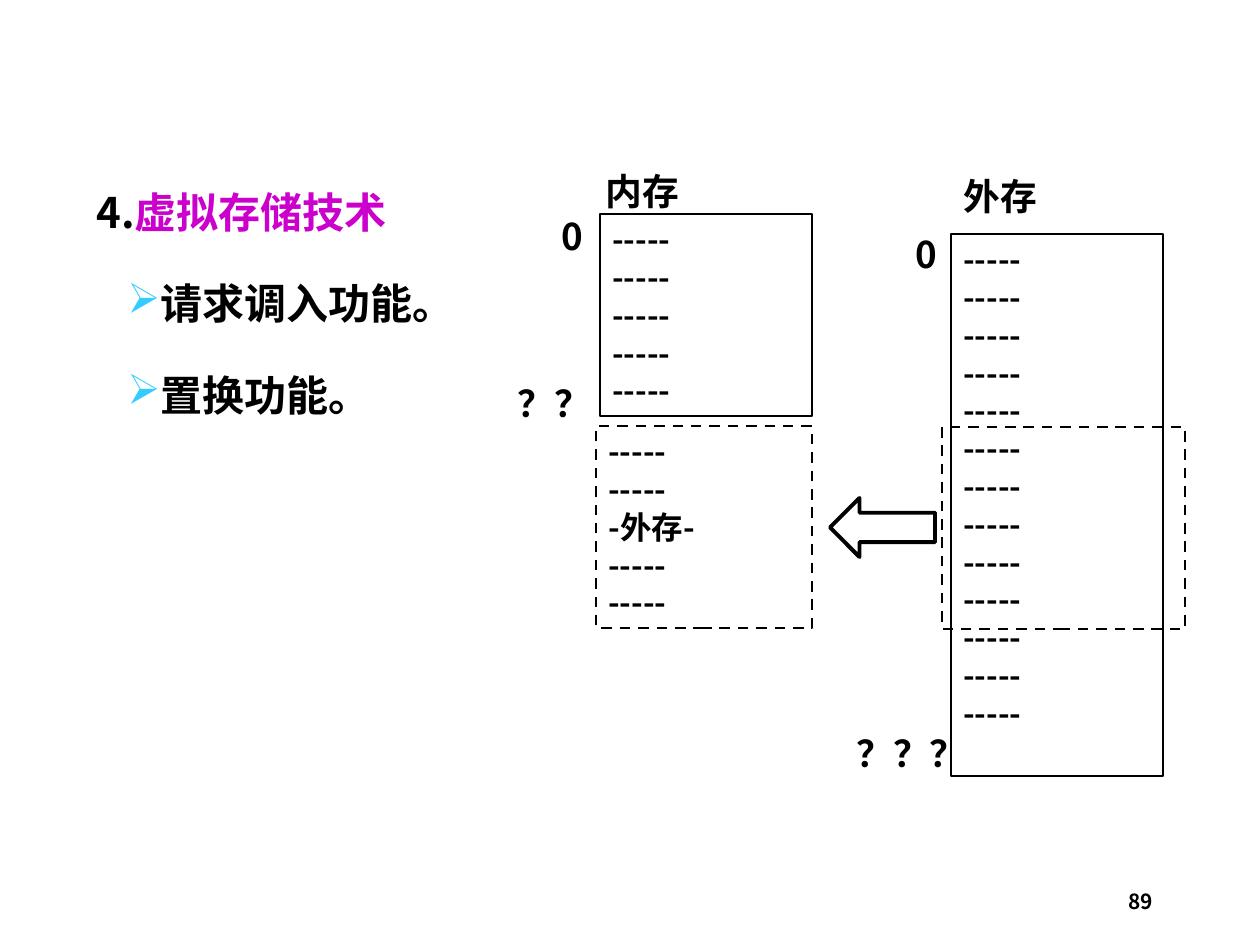
from lxml.etree import SubElement
from pptx import Presentation
from pptx.dml.color import RGBColor
from pptx.enum.dml import MSO_LINE
from pptx.enum.shapes import MSO_SHAPE
from pptx.enum.text import MSO_ANCHOR, PP_ALIGN
from pptx.oxml.ns import qn
from pptx.util import Emu, Pt

FONT = "Noto Sans CJK SC"
BLACK = RGBColor(0x00, 0x00, 0x00)
MAGENTA = RGBColor(0xCC, 0x00, 0xCC)
BULLET_BLUE = RGBColor(0x33, 0xCC, 0xFF)
PX = 914400 / 126
DASHES = "-----"


def box(x, y, w, h, preset=None, dash=None, weight=1.5):
    """Add a text box, or an unfilled outlined shape if a preset is given."""
    place = [Emu(round(v * PX)) for v in (x, y, w, h)]
    if preset is None:
        sp = s.shapes.add_textbox(*place)
    else:
        sp = s.shapes.add_shape(preset, *place)
        sp.shadow.inherit = False
        sp.fill.background()
        sp.line.color.rgb = BLACK
        sp.line.width = Pt(weight)
        sp.line.dash_style = dash
    sp.text_frame.word_wrap = True
    sp.text_frame.vertical_anchor = MSO_ANCHOR.TOP
    return sp.text_frame


def write(tf, lines, size, align=PP_ALIGN.LEFT):
    """Fill a frame; each line is a list of (text, colour) runs."""
    for i, runs in enumerate(lines):
        p = tf.add_paragraph() if i else tf.paragraphs[0]
        p.alignment = align
        for text, color in runs:
            r = p.add_run()
            r.text = text
            r.font.size = Pt(size)
            r.font.bold = True
            r.font.name = FONT
            r.font.color.rgb = color
            SubElement(r.font._element, qn("a:ea"), typeface=FONT)


prs = Presentation()
prs.slide_width = Emu(round(1260 * PX))
prs.slide_height = Emu(round(945 * PX))
s = prs.slides.add_slide(prs.slide_layouts[6])

# Page number
write(box(903, 882, 262, 42), [[("89", BLACK)]], 11.9, PP_ALIGN.RIGHT)

# Topic and its two functions
tf = box(84, 165, 1113, 262)
topic = [("4.", BLACK), ("虚拟存储技术", MAGENTA)]
functions = ["请求调入功能。", "置换功能。"]
write(tf, [topic] + [[(text, BLACK)] for text in functions], 24, PP_ALIGN.JUSTIFY)
for p in tf.paragraphs:
    p.line_spacing = 1.3
for p in tf.paragraphs[1:]:
    p.space_before = Pt(15)
    p.level = 1
    pPr = p._p.get_or_add_pPr()
    pPr.set("marL", str(round(63 * PX)))
    pPr.set("indent", str(round(-32 * PX)))
    color = SubElement(pPr, qn("a:buClr"))
    SubElement(color, qn("a:srgbClr"), val=str(BULLET_BLUE))
    SubElement(pPr, qn("a:buChar"), char="➢")

# Memory blocks
RECT, DASH = MSO_SHAPE.RECTANGLE, MSO_LINE.DASH
main_memory = [DASHES] * 5
disk = [DASHES] * 13
swapped_in = [DASHES] * 2 + ["-外存-"] + [DASHES] * 2
for place, dash, rows in [
    ((600, 214, 212, 202), None, main_memory),
    ((951, 234, 212, 542), None, disk),
    ((942, 427, 243, 202), DASH, []),
    ((596, 426, 216, 202), DASH, swapped_in),
]:
    write(box(*place, RECT, dash), [[(row, BLACK)] for row in rows], 18)

# Block names and addresses
for text, x, y, w in [
    ("内存", 593, 163, 126),
    ("外存", 951, 168, 126),
    ("0", 549, 208, 48),
    ("？？", 505, 375, 106),
    ("0", 903, 226, 48),
    ("？？？", 844, 725, 139),
]:
    write(box(x, y, w, 57), [[(text, BLACK)]], 21)

# Transfer from disk to main memory
box(830, 498, 105, 59, MSO_SHAPE.LEFT_ARROW, weight=2.25)

prs.save("out.pptx")
